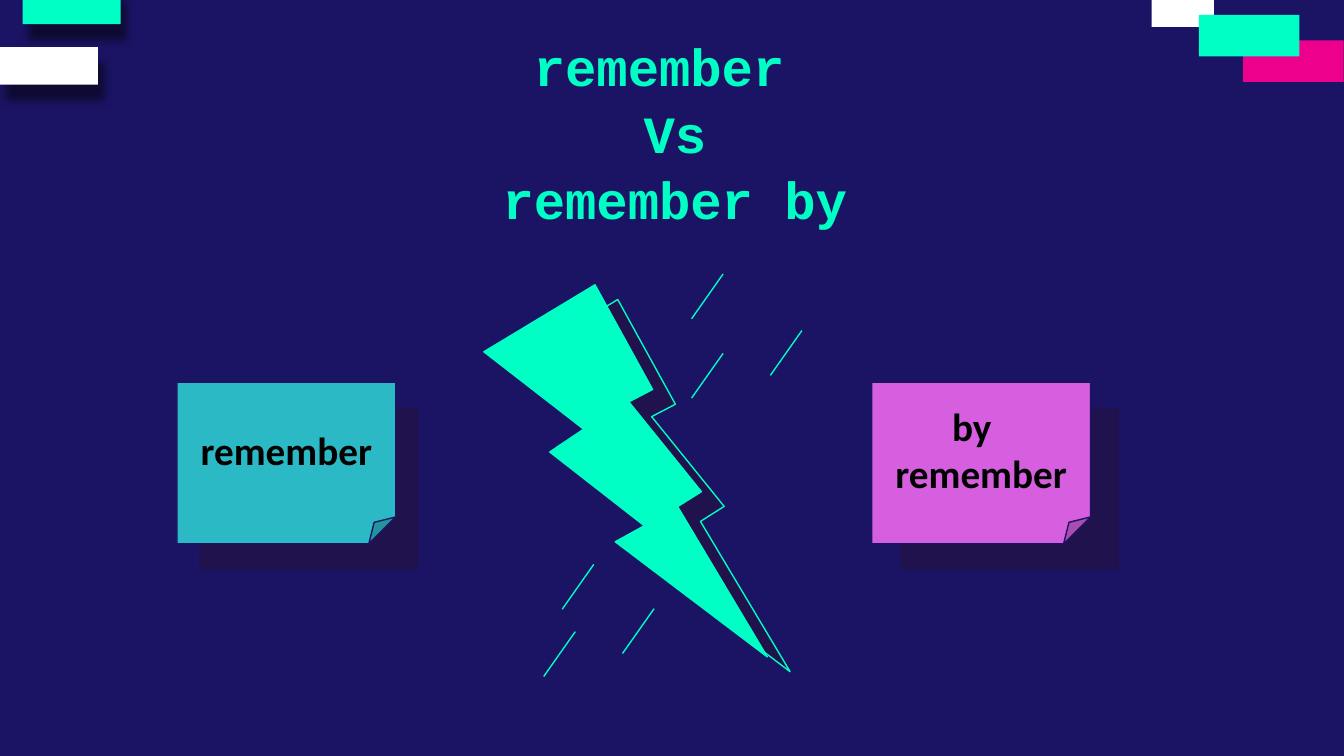
from lxml import etree
from pptx import Presentation
from pptx.dml.color import RGBColor
from pptx.enum.shapes import MSO_CONNECTOR as CONN, MSO_SHAPE as SHAPE
from pptx.enum.text import MSO_ANCHOR as ANCHOR, PP_ALIGN as ALIGN
from pptx.oxml import parse_xml
from pptx.oxml.ns import nsdecls, qn
from pptx.util import Pt

NAVY = RGBColor(0x1B, 0x14, 0x64)
SHADE = RGBColor(0x20, 0x12, 0x4D)
MINT = RGBColor(0x00, 0xFF, 0xC5)
WHITE = RGBColor(0xFF, 0xFF, 0xFF)
PINK = RGBColor(0xEC, 0x00, 0x8C)
TEAL = RGBColor(0x2B, 0xBA, 0xC5)
ORCHID = RGBColor(0xD5, 0x5F, 0xDE)
BLACK = RGBColor(0, 0, 0)


def add_shape(s, kind, box, fill, line=None):
    sp = s.shapes.add_shape(kind, *map(Pt, box))
    sp.shadow.inherit = False
    sp.fill.solid()
    sp.fill.fore_color.rgb = fill
    if line is None:
        sp.line.fill.background()
    else:
        sp.line.color.rgb = line
        sp.line.width = Pt(0.75)
    return sp


def add_drop_shadow(sp):
    effects = sp._element.spPr.find(qn("a:effectLst"))
    effects.append(parse_xml(
        f'<a:outerShdw {nsdecls("a")} blurRad="{Pt(4.5)}" dist="{Pt(9)}" '
        f'dir="{70 * 60000}" algn="bl" rotWithShape="0">'
        '<a:srgbClr val="000000"><a:alpha val="50000"/></a:srgbClr></a:outerShdw>'))


def write_lines(tf, lines, font, size, color):
    tf.word_wrap = True
    tf.margin_left = tf.margin_right = tf.margin_top = tf.margin_bottom = Pt(7.2)
    for i, text in enumerate(lines):
        p = tf.paragraphs[0] if i == 0 else tf.add_paragraph()
        p.text = text
        p.alignment = ALIGN.CENTER
        p.font.name, p.font.size, p.font.bold = font, Pt(size), True
        p.font.color.rgb = color


def add_left_tabs(s, x, y):
    for dx, dy, color in ((12.2, -7.2, MINT), (0, 25.2, WHITE)):
        add_drop_shadow(add_shape(s, SHAPE.RECTANGLE, (x + dx, y + dy, 52.5, 20.2), color))


def add_right_tabs(s, x, y):
    for dx, dy, w, h, color in ((49, 21.6, 53.9, 22.3, PINK),
                                (0, 0, 33.3, 14.4, WHITE),
                                (25.2, 7.9, 53.9, 22.3, MINT)):
        add_shape(s, SHAPE.RECTANGLE, (x + dx, y + dy, w, h), color)


def add_title(s, x, y, w, h):
    tf = s.shapes.add_textbox(*map(Pt, (x, y, w, h))).text_frame
    # The trailing space sets the first line slightly left of centre
    write_lines(tf, ["remember ", "Vs", "remember by"], "Courier New", 28, MINT)
    tf.margin_top = Pt(10)
    for p in tf.paragraphs:
        p.line_spacing = 1.06


def add_note(s, x, y, w, h, shade_dx, color, lines):
    add_shape(s, SHAPE.RECTANGLE, (x + shade_dx, y + 13.7, w, h), SHADE)
    tf = add_shape(s, SHAPE.FOLDED_CORNER, (x, y, w, h), color, NAVY).text_frame
    tf.vertical_anchor = ANCHOR.MIDDLE
    write_lines(tf, lines, "Calibri", 21, BLACK)
    return tf


def add_bolt(s, x, y, w, h):
    # Outlined bolt behind, solid bolt in front
    for dx, dy, fill in ((12.2, 7.9, SHADE), (0, 0, MINT)):
        add_shape(s, SHAPE.LIGHTNING_BOLT, (x + dx, y + dy, w, h), fill, MINT)
    # Slanted sparks, placed by their upper right ends
    for dx, dy in ((128.2, -5.8), (170.4, 24.5), (128.2, 36.7),
                   (58.9, 149.8), (91.2, 173.5), (49, 185.8)):
        c = s.shapes.add_connector(CONN.STRAIGHT, Pt(x + dx), Pt(y + dy),
                                   Pt(x + dx - 16.9), Pt(y + dy + 24))
        c.line.color.rgb = MINT
        c.line.width = Pt(0.75)
        etree.SubElement(c._element.spPr, qn("a:effectLst"))


def main():
    prs = Presentation()
    prs.slide_width, prs.slide_height = Pt(720), Pt(405)
    s = prs.slides.add_slide(prs.slide_layouts[6])
    s.background.fill.solid()
    s.background.fill.fore_color.rgb = NAVY

    add_left_tabs(s, 0, 0)
    add_right_tabs(s, 617, 0)
    add_title(s, 225.4, 6.5, 272.2, 52.6)
    add_note(s, 94.8, 204.8, 117.2, 86.6, 12, TEAL, ["remember"])
    tf = add_note(s, 467, 204.8, 117.2, 86.6, 15.2, ORCHID, ["by", "remember"])
    # "by" is indented from the left
    p = tf.paragraphs[0]
    p.alignment = ALIGN.LEFT
    p._p.get_or_add_pPr().set("indent", str(Pt(36)))
    add_bolt(s, 259.2, 152.6, 151.9, 199.4)

    prs.save("out.pptx")


if __name__ == "__main__":
    main()
